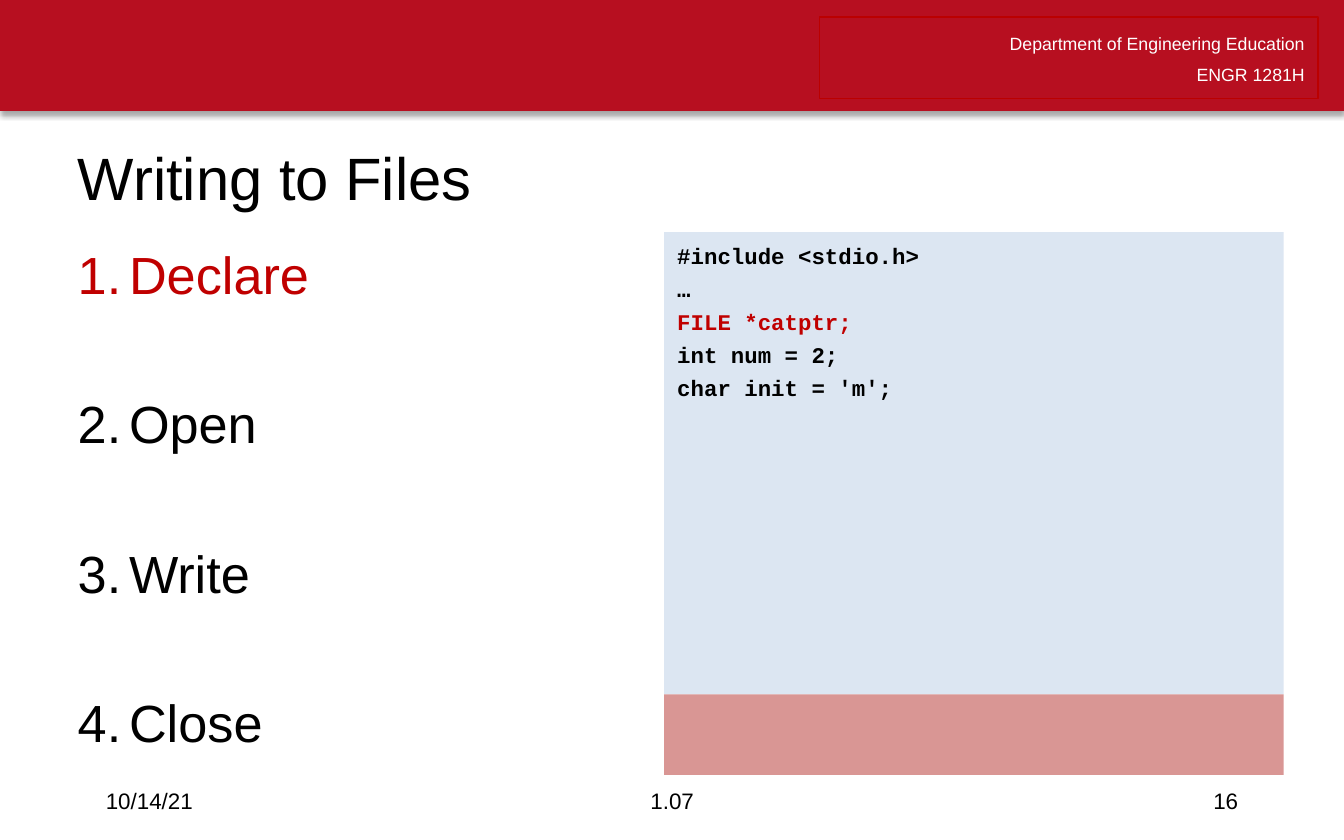
"""Build the 'Writing to Files' lecture slide."""
from lxml import etree
from pptx import Presentation
from pptx.dml.color import RGBColor
from pptx.enum.shapes import MSO_SHAPE as SHAPE
from pptx.enum.text import MSO_ANCHOR as ANCHOR, PP_ALIGN as ALIGN
from pptx.oxml import parse_xml
from pptx.oxml.ns import nsdecls, qn
from pptx.util import Cm, Pt

BLACK, WHITE, ACCENT = "000000", "FFFFFF", "C00000"


def color(value):
    return RGBColor.from_string(value)


def add_rect(slide, x, y, w, h, fill=None, line=None):
    sp = slide.shapes.add_shape(SHAPE.RECTANGLE, Cm(x), Cm(y), Cm(w), Cm(h))
    sp.shadow.inherit = False
    if fill:
        sp.fill.solid()
        sp.fill.fore_color.rgb = color(fill)
    else:
        sp.fill.background()
    if line:
        sp.line.color.rgb = color(line)
        sp.line.width = Pt(0.75)
    else:
        sp.line.fill.background()
    return sp


def add_label(slide, x, y, w, h, text, **fmt):
    sp = slide.shapes.add_textbox(Cm(x), Cm(y), Cm(w), Cm(h))
    write(sp, [text], anchor=ANCHOR.MIDDLE, **fmt)


def add_shadow(sp):
    effects = sp._element.spPr.find(qn("a:effectLst"))
    effects.append(parse_xml(
        f'<a:outerShdw {nsdecls("a")} blurRad="{Pt(3.1)}" dist="{Pt(1.8)}" '
        'dir="5400000" rotWithShape="0"><a:srgbClr val="000000">'
        '<a:alpha val="35000"/></a:srgbClr></a:outerShdw>'))


def number(p, indent):
    pPr = p._p.get_or_add_pPr()
    pPr.set("marL", str(Cm(indent)))
    pPr.set("indent", str(-Cm(indent)))
    etree.SubElement(pPr, qn("a:buFont"), typeface="+mj-lt")
    etree.SubElement(pPr, qn("a:buAutoNum"), type="arabicPeriod")


def write(sp, lines, size=12, font="Arial", fill=BLACK, bold=False,
          align=ALIGN.LEFT, anchor=ANCHOR.TOP, gap=0, spacing=None,
          top=0.13, indent=None, marked=None):
    tf = sp.text_frame
    tf.word_wrap = True
    tf.vertical_anchor = anchor
    tf.margin_top = Cm(top)
    for i, line in enumerate(lines):
        p = tf.add_paragraph() if i else tf.paragraphs[0]
        p.alignment = align
        if i and gap:
            p.space_before = Pt(gap)
        if spacing:
            p.line_spacing = Pt(spacing)
        if indent:
            number(p, indent)
        r = p.add_run()
        r.text = line
        r.font.size = Pt(size)
        r.font.name = font
        r.font.bold = bold
        r.font.color.rgb = color(ACCENT if line == marked else fill)


def add_header(slide):
    add_shadow(add_rect(slide, 0, 0, 25.4, 2.1, fill="B70F20"))
    sp = add_rect(slide, 15.49, 0.32, 9.42, 1.55, line="BB0000")
    write(sp, ["Department of Engineering Education", "ENGR 1281H"],
          size=9.5, fill=WHITE, align=ALIGN.RIGHT, spacing=16.4)


def add_steps(slide):
    sp = add_rect(slide, 1.22, 4.39, 11.33, 10.34, line=WHITE)
    write(sp, ["Declare", "Open", "Write", "Close"], size=28, gap=46.4,
          top=0.19, indent=0.97, marked="Declare")


def add_code(slide):
    sp = add_rect(slide, 12.55, 4.39, 11.71, 8.74, fill="DCE6F2")
    code = ["#include <stdio.h>", "…", "FILE *catptr;", "int num = 2;",
            "char init = 'm';"]
    write(sp, code, font="Courier New", bold=True, gap=3.3, top=0.19,
          marked="FILE *catptr;")
    add_rect(slide, 12.55, 13.13, 11.71, 1.52, fill="D99694")


def add_footer(slide):
    for x, w, text, align in [(1.75, 5.72, "10/14/21", ALIGN.LEFT),
                              (8.41, 8.59, "1.07", ALIGN.CENTER),
                              (17.93, 5.72, "16", ALIGN.RIGHT)]:
        add_label(slide, x, 14.71, w, 0.84, text, align=align)


def main():
    prs = Presentation()
    prs.slide_width, prs.slide_height = Cm(25.4), Cm(15.88)
    slide = prs.slides.add_slide(prs.slide_layouts[6])
    add_header(slide)
    add_steps(slide)
    add_label(slide, 1.22, 2.44, 23.04, 1.8, "Writing to Files", size=32)
    add_code(slide)
    add_footer(slide)
    prs.save("out.pptx")


if __name__ == "__main__":
    main()
